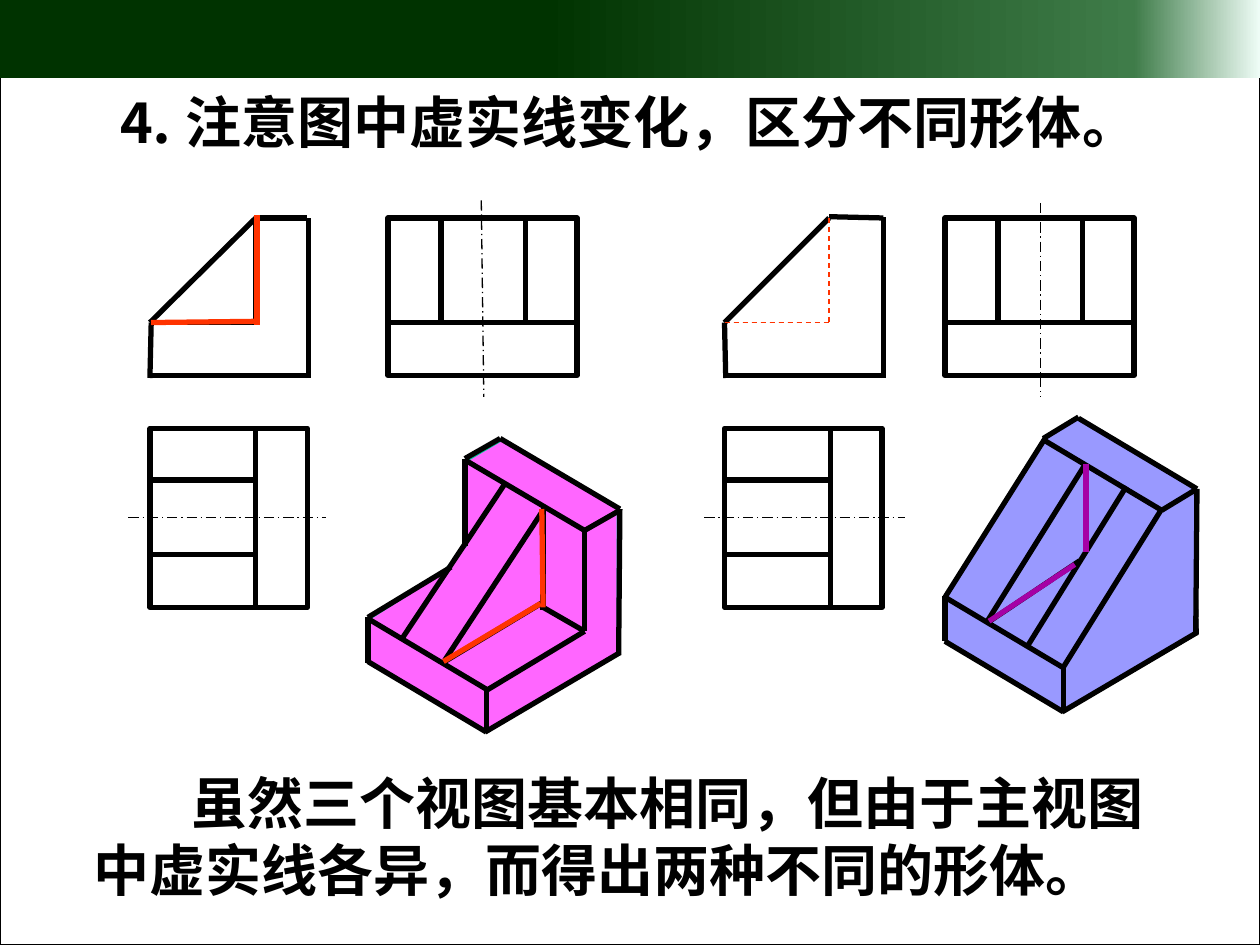
from copy import deepcopy

from lxml.etree import SubElement
from pptx import Presentation
from pptx.dml.color import RGBColor
from pptx.enum.dml import MSO_LINE
from pptx.enum.shapes import MSO_CONNECTOR, MSO_SHAPE
from pptx.enum.text import MSO_ANCHOR, PP_ALIGN
from pptx.oxml.ns import qn
from pptx.util import Inches, Pt

COLORS = {"black": "000000", "pink": "FF66FF", "teal": "00CC99", "blue": "9999FF",
          "red": "FF3300", "purple": "A500A5"}
BANNER_STOPS = [(0.43, "003300"), (0.90, "3F7C49"), (1, "EEFCF6")]
TITLE = "⒋ 注意图中虚实线变化，区分不同形体。"
SUMMARY = "虽然三个视图基本相同，但由于主视图中虚实线各异，而得出两种不同的形体。"

STEP_FACE = [(3.7, 3.66), (3.99, 3.49), (4.9, 4.03), (4.9, 5.2), (3.86, 5.8),
             (2.92, 5.26), (2.92, 4.92), (3.51, 4.55), (3.7, 4.33)]
STEP_EDGES = [
    (4.64, 4.21, 4.64, 5.01), (4.64, 4.21, 4.92, 4.05), (4.92, 4.04, 4.91, 5.2),
    (4.64, 5.01, 3.86, 5.48), (3.86, 5.47, 3.86, 5.81), (4.92, 5.18, 3.85, 5.81),
    (4.64, 4.21, 3.69, 3.65), (3.69, 3.64, 3.97, 3.48), (4.92, 4.04, 3.97, 3.48),
    (3.86, 5.81, 2.92, 5.25), (3.86, 5.47, 2.92, 4.91), (2.92, 4.9, 2.92, 5.26),
    (4, 3.85, 3.19, 5.07), (4.33, 4.02, 3.53, 5.24), (4.31, 4.78, 3.53, 5.25),
    (4.64, 5.01, 4.31, 4.82), (4.31, 4.04, 4.31, 4.84), (2.92, 4.9, 3.58, 4.5),
    (3.69, 3.64, 3.69, 4.33)]
WEDGE_FACE = [(8.56, 3.32), (9.48, 3.87), (9.51, 5.03), (8.45, 5.65),
              (7.5, 5.1), (7.51, 4.74), (8.3, 3.48)]
WEDGE_EDGES = [
    (9.22, 4.05, 9.5, 3.88), (9.5, 3.88, 9.49, 5.04), (8.44, 5.3, 8.44, 5.65),
    (9.5, 5.02, 8.43, 5.65), (9.22, 4.05, 8.28, 3.49), (8.28, 3.48, 8.56, 3.31),
    (9.5, 3.88, 8.56, 3.32), (8.44, 5.65, 7.5, 5.09), (8.44, 5.3, 7.5, 4.74),
    (7.5, 4.73, 7.5, 5.09), (8.3, 3.47, 7.5, 4.74), (8.61, 3.69, 7.83, 4.94),
    (8.57, 4.45, 7.84, 4.94), (8.62, 3.68, 8.62, 4.37), (9.22, 4.04, 8.43, 5.31),
    (8.94, 3.86, 8.16, 5.12)]
FRONT_EDGES = {
    "step": [(1.19, 3, 1.2, 2.56), (1.19, 2.98, 2.44, 2.98), (2.45, 3, 2.45, 1.73),
             (2.03, 1.73, 2.44, 1.73), (2.03, 1.72, 2.03, 2.58),
             (1.19, 2.56, 2.04, 2.56), (2.03, 1.73, 1.19, 2.56)],
    "wedge": [(5.76, 3, 5.75, 2.56), (5.75, 2.98, 7, 2.98), (7.01, 3, 7.01, 1.72),
              (6.58, 1.72, 7.01, 1.73), (6.58, 1.73, 5.75, 2.56)]}
HIDDEN_EDGES = [(6.58, 1.73, 6.58, 2.56), (5.75, 2.56, 6.58, 2.56)]
SIDE_VIEWS = [3.08, 7.5]
TOP_VIEWS = [1.19, 5.75]
AXES = [(3.82, 1.59, 3.84, 3.15), (8.26, 1.61, 8.26, 3.15),
        (1.02, 4.11, 2.59, 4.11), (5.59, 4.11, 7.18, 4.11)]
RED_EDGES = [(4.3, 4.04, 4.31, 4.82), (4.29, 4.79, 3.52, 5.25),
             (1.2, 2.56, 2.05, 2.55), (2.04, 1.71, 2.04, 2.58)]
PURPLE_EDGES = [(8.62, 3.68, 8.62, 4.38), (7.85, 4.93, 8.53, 4.48)]


def rgb(name):
    return RGBColor.from_string(COLORS[name])


def set_line(sp, color, width):
    sp.line.color.rgb = rgb(color)
    sp.line.width = Pt(width)


def add_lines(s, edges, color="black", width=3, dash=None):
    for edge in edges:
        cn = s.shapes.add_connector(MSO_CONNECTOR.STRAIGHT, *map(Inches, edge))
        set_line(cn, color, width)
        if dash:
            cn.line.dash_style = dash
        SubElement(cn._element.spPr, qn("a:effectLst"))


def add_rect(s, x, y, w, h, width=3):
    sp = s.shapes.add_shape(MSO_SHAPE.RECTANGLE, *map(Inches, (x, y, w, h)))
    sp.shadow.inherit = False
    sp.fill.background()
    set_line(sp, "black", width)
    return sp


def add_face(s, points, fill, line, width):
    pts = [(Inches(x), Inches(y)) for x, y in points]
    fb = s.shapes.build_freeform(*pts[0], scale=1.0)
    fb.add_line_segments(pts[1:], close=True)
    sp = fb.convert_to_shape()
    sp.shadow.inherit = False
    sp.fill.solid()
    sp.fill.fore_color.rgb = rgb(fill)
    set_line(sp, line, width)


def add_banner(s):
    sp = add_rect(s, 0, -0.02, 10, 0.64)
    sp.line.fill.background()
    sp.fill.gradient()
    sp.fill.gradient_angle = 0
    stops = sp._element.spPr.find(qn("a:gradFill")).find(qn("a:gsLst"))
    stops.append(deepcopy(stops[-1]))
    for stop, (pos, color) in zip(sp.fill.gradient_stops, BANNER_STOPS):
        stop.position = pos
        stop.color.rgb = RGBColor.from_string(color)


def add_text(s, text, box, wrap, indent=0):
    tf = s.shapes.add_textbox(*map(Inches, box)).text_frame
    tf.word_wrap = wrap
    tf.vertical_anchor = MSO_ANCHOR.MIDDLE
    p = tf.paragraphs[0]
    p.alignment = PP_ALIGN.LEFT
    p._p.get_or_add_pPr().set("indent", str(Inches(indent)))
    r = p.add_run()
    r.text = text
    r.font.name = "Times New Roman"
    r.font.size = Pt(32)
    r.font.bold = True
    r.font.color.rgb = rgb("black")


def main():
    """Build the slide comparing two solids that share similar views."""
    prs = Presentation()
    prs.slide_width, prs.slide_height = Inches(10), Inches(7.5)
    s = prs.slides.add_slide(prs.slide_layouts[6])
    add_rect(s, 0, 0, 10, 7.5, 0.75)
    add_banner(s)
    add_text(s, TITLE, (0.83, 0.65, 8.34, 0.63), False)
    add_face(s, STEP_FACE, "pink", "teal", 1)
    add_lines(s, STEP_EDGES)
    add_face(s, WEDGE_FACE, "blue", "black", 0.75)
    add_lines(s, WEDGE_EDGES)
    add_lines(s, FRONT_EDGES["step"])
    for x in SIDE_VIEWS:
        add_rect(s, x, 1.73, 1.5, 1.25)
        add_lines(s, [(x, 2.56, x + 1.5, 2.56)])
        add_lines(s, [(x + dx, 1.73, x + dx, 2.56) for dx in (0.42, 1.09)])
    for x in TOP_VIEWS:
        add_rect(s, x, 3.4, 1.25, 1.42)
        add_lines(s, [(x, y, x + 0.84, y) for y in (3.81, 4.4)])
        add_lines(s, [(x + 0.84, 3.4, x + 0.84, 4.81)])
    add_lines(s, AXES, width=0.75, dash=MSO_LINE.LONG_DASH_DOT)
    add_lines(s, FRONT_EDGES["wedge"])
    for color in ("black", "red"):
        add_lines(s, HIDDEN_EDGES, color, 0.75, MSO_LINE.DASH)
    add_lines(s, RED_EDGES, "red")
    add_lines(s, PURPLE_EDGES, "purple")
    add_text(s, SUMMARY, (0.64, 6.05, 8.94, 1.17), True, 0.78)
    prs.save("out.pptx")


if __name__ == "__main__":
    main()
